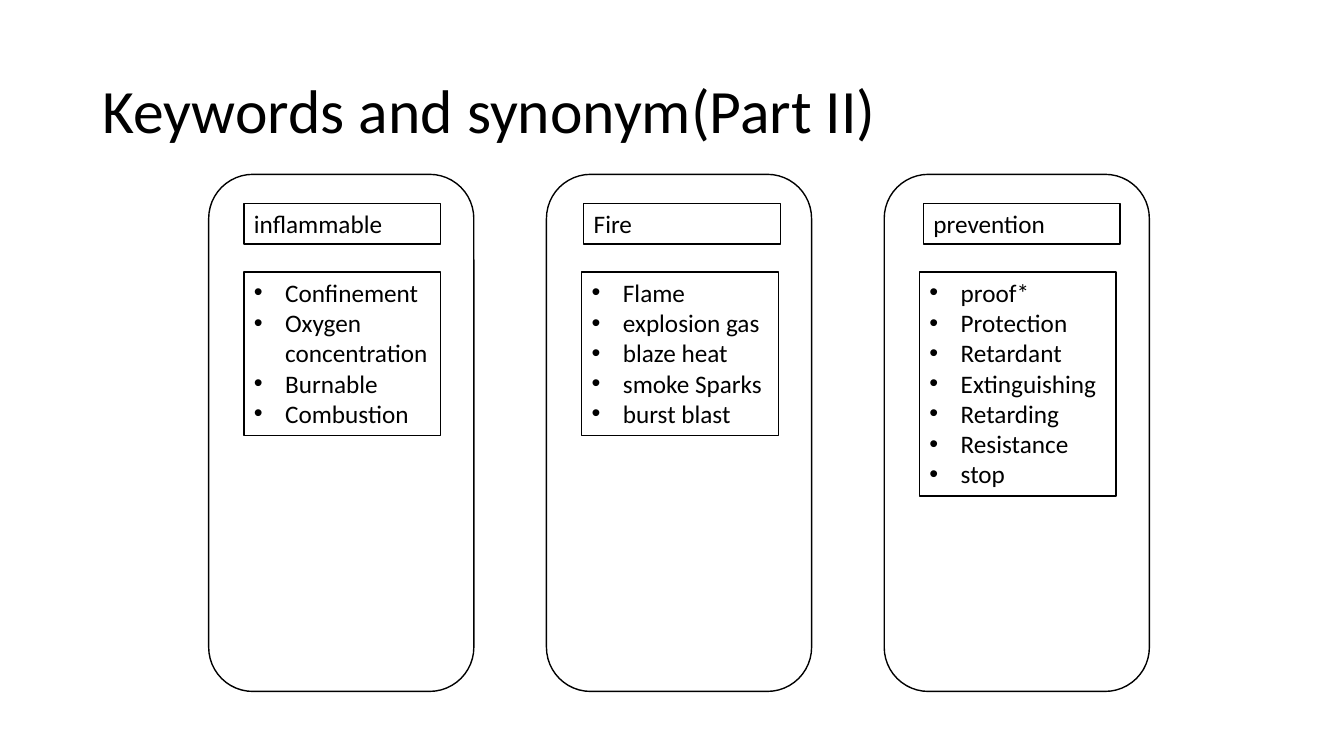
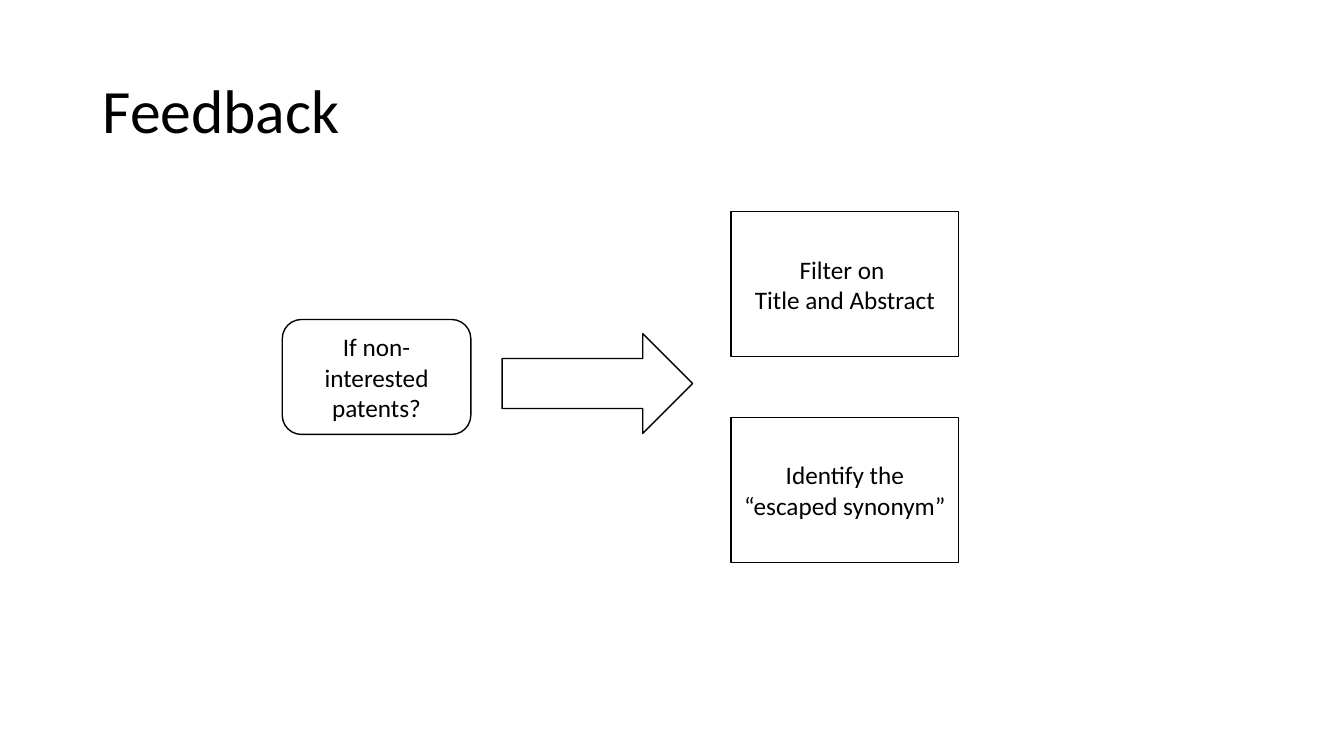
from pptx import Presentation
from pptx.dml.color import RGBColor
from pptx.enum.shapes import MSO_SHAPE as Shape
from pptx.enum.text import MSO_ANCHOR as Anchor, PP_ALIGN as Align
from pptx.oxml.xmlchemy import OxmlElement
from pptx.util import Pt

# Shared style: 100 px to the inch
PX = 9144
FONT = "Calibri"
INK = "000000"
PAPER = "FFFFFF"
BULLET_INDENT = 31

# Keyword columns
COLUMN_LEFT, COLUMN_STEP = 207, 335
HEADING_LEFT, HEADING_STEP = 242, 337
CARD_WIDTH = 195
COLUMNS = [
    ("inflammable", 162,
     ["Confinement", "Oxygen concentration", "Burnable", "Combustion"]),
    ("Fire", 162,
     ["Flame", "explosion gas", "blaze heat", "smoke Sparks", "burst blast"]),
    ("prevention", 222,
     ["proof*", "Protection", "Retardant", "Extinguishing", "Retarding",
      "Resistance", "stop"]),
]

# Feedback actions, from top to bottom
ACTION_TOP, ACTION_STEP = 210, 204
ACTIONS = [["Filter on ", "Title and Abstract"],
           ["Identify the “escaped synonym”"]]


def color(value):
    return RGBColor.from_string(value)


def emu(*lengths):
    return [length * PX for length in lengths]


def add_bullet(para):
    props = para._p.get_or_add_pPr()
    props.set("marL", str(BULLET_INDENT * PX))
    props.set("indent", str(-BULLET_INDENT * PX))
    bullet_font = OxmlElement("a:buFont")
    bullet_font.set("typeface", "Arial")
    bullet = OxmlElement("a:buChar")
    bullet.set("char", "•")
    props.extend([bullet_font, bullet])


def write(box, lines, size=18, align=Align.LEFT, anchor=Anchor.TOP,
          spacing=None, bullets=False):
    frame = box.text_frame
    frame.word_wrap = True
    frame.vertical_anchor = anchor
    for index, line in enumerate(lines):
        para = frame.add_paragraph() if index else frame.paragraphs[0]
        para.alignment = align
        if spacing:
            para.line_spacing = spacing
        if bullets:
            add_bullet(para)
        span = para.add_run()
        span.text = line
        span.font.name = FONT
        span.font.size = Pt(size)
        span.font.color.rgb = color(INK)


def add_outline(page, kind, left, top, width, height):
    box = page.shapes.add_shape(kind, *emu(left, top, width, height))
    box.shadow.inherit = False
    box.fill.solid()
    box.fill.fore_color.rgb = color(PAPER)
    box.line.color.rgb = color(INK)
    box.line.width = Pt(1)
    return box


def add_page(deck, title):
    page = deck.slides.add_slide(deck.slide_layouts[6])
    box = page.shapes.add_textbox(*emu(92, 40, 1150, 145))
    write(box, [title], size=44, anchor=Anchor.MIDDLE, spacing=0.9)
    return page


def add_column(page, index, heading, list_height, words):
    left = COLUMN_LEFT + index * COLUMN_STEP
    add_outline(page, Shape.ROUNDED_RECTANGLE, left, 173, 263, 513)
    heading_left = HEADING_LEFT + index * HEADING_STEP
    write(add_outline(page, Shape.RECTANGLE, heading_left, 202,
                      CARD_WIDTH, 40), [heading])
    write(add_outline(page, Shape.RECTANGLE, left + 35, 270,
                      CARD_WIDTH, list_height), words, bullets=True)


def add_centered(page, kind, place, lines):
    write(add_outline(page, kind, *place), lines,
          align=Align.CENTER, anchor=Anchor.MIDDLE)


def main():
    deck = Presentation()
    deck.slide_width, deck.slide_height = emu(1333, 750)

    # Keywords
    page = add_page(deck, "Keywords and synonym(Part II)")
    for index, column in enumerate(COLUMNS):
        add_column(page, index, *column)

    # Feedback
    page = add_page(deck, "Feedback")
    add_centered(page, Shape.ROUNDED_RECTANGLE, (280, 317, 187, 114),
                 ["If non-interested patents?"])
    for index, lines in enumerate(ACTIONS):
        top = ACTION_TOP + index * ACTION_STEP
        add_centered(page, Shape.RECTANGLE, (725, top, 226, 144), lines)
    add_outline(page, Shape.RIGHT_ARROW, 498, 331, 189, 99)

    deck.save("out.pptx")


if __name__ == "__main__":
    main()
